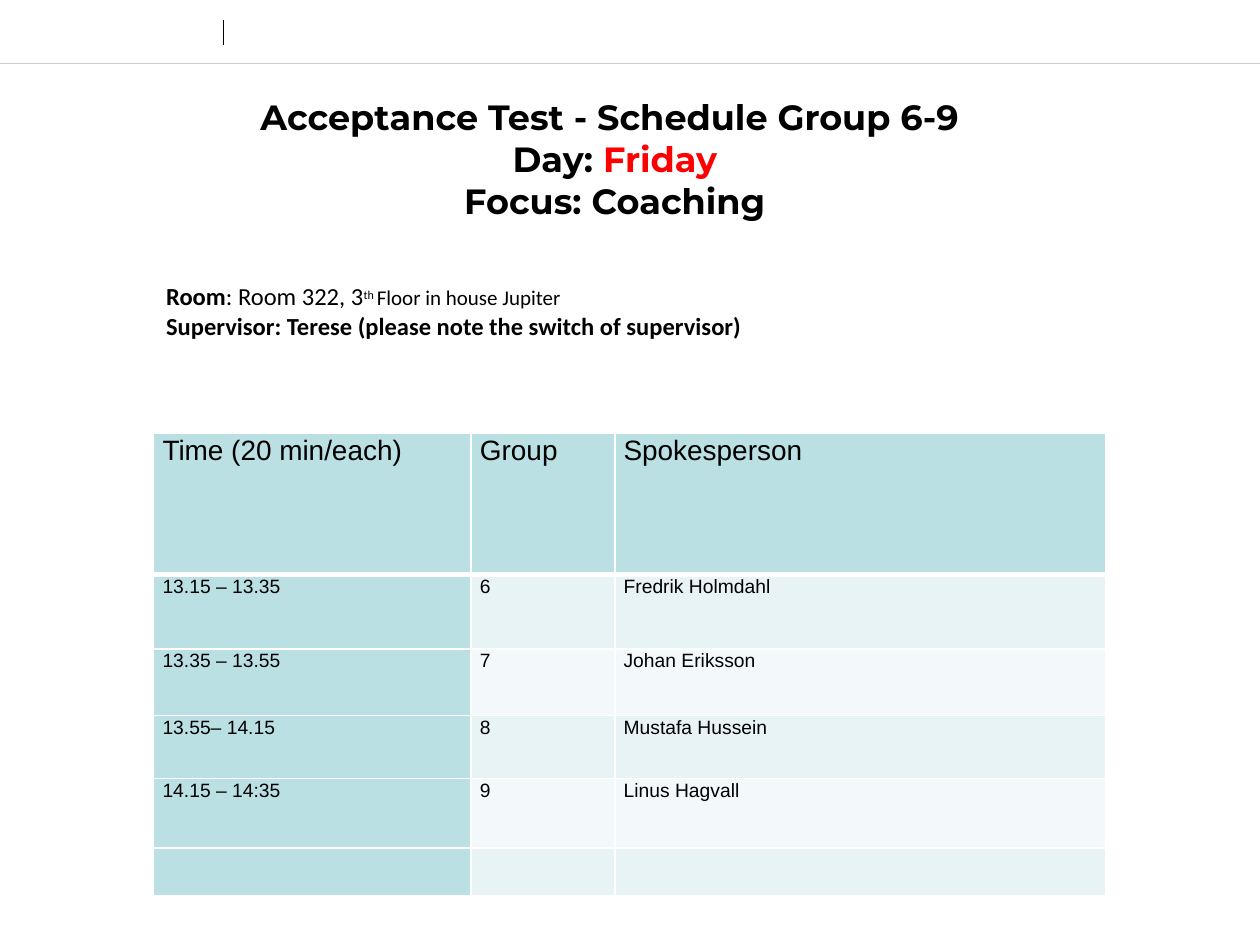
from dataclasses import dataclass

from lxml.etree import SubElement
from pptx import Presentation
from pptx.dml.color import RGBColor
from pptx.enum.shapes import MSO_CONNECTOR
from pptx.enum.text import MSO_ANCHOR, PP_ALIGN
from pptx.oxml.ns import qn
from pptx.util import Inches, Pt


@dataclass(frozen=True)
class Theme:
    ink: str = "000000"
    paper: str = "FFFFFF"
    alert: str = "FF0000"
    rule: str = "CCCCCC"
    head: str = "BBE0E3"
    bands: tuple = ("E7F3F4", "F3F9FA")
    title: int = 20
    header: int = 16
    info: int = 14
    small: int = 12
    body: int = 11


THEME = Theme()
WIDTH, HEIGHT = 10, 7.5
LEFT = 1.22
COLS = (2.52, 1.14, 3.9)
ROWS = (1.12, 0.59, 0.53, 0.5, 0.55, 0.38)
SLOTS = (
    ("Time (20 min/each)", "Group", "Spokesperson"),
    ("13.15 – 13.35", "6", "Fredrik Holmdahl"),
    ("13.35 – 13.55", "7", "Johan Eriksson"),
    ("13.55– 14.15", "8", "Mustafa Hussein"),
    ("14.15 – 14:35", "9", "Linus Hagvall"),
    ("", "", ""),
)


def style(font, face, size, bold=False):
    font.name, font.size, font.bold = face, Pt(size), bold
    font.color.rgb = RGBColor.from_string(THEME.ink)


def add_rule(slide, start, end, color, width):
    ends = [Inches(n) for n in (*start, *end)]
    line = slide.shapes.add_connector(MSO_CONNECTOR.STRAIGHT, *ends)
    line.line.color.rgb = RGBColor.from_string(color)
    line.line.width = Pt(width)
    SubElement(line._element.spPr, qn("a:effectLst"))


def add_banner(slide, box):
    """Draw the rule under the top strip and the short divider in it."""
    x, y, w, h = box
    add_rule(slide, (x, y + h), (x + w, y + h), THEME.rule, 0.25)
    mark = x + 0.177 * w
    add_rule(slide, (mark, y + 0.32 * h), (mark, y + 0.72 * h), THEME.ink, 0.5)


def add_frame(slide, box):
    frame = slide.shapes.add_textbox(*map(Inches, box)).text_frame
    frame.word_wrap = True
    frame.vertical_anchor = MSO_ANCHOR.MIDDLE
    return frame


def add_title(slide, box):
    frame = add_frame(slide, box)
    frame.margin_top = frame.margin_bottom = 0
    para = frame.paragraphs[0]
    para.alignment = PP_ALIGN.CENTER
    style(para.font, "Montserrat", THEME.title, True)
    para.add_run().text = "Acceptance Test - Schedule Group 6-9 "
    para.add_line_break()
    para.add_run().text = "Day: "
    day = para.add_run()
    day.text = "Friday"
    day.font.color.rgb = RGBColor.from_string(THEME.alert)
    para.add_line_break()
    para.add_run().text = "Focus: Coaching"


def add_info(slide, box):
    frame = add_frame(slide, box)
    room, lead = frame.paragraphs[0], frame.add_paragraph()
    for para in (room, lead):
        style(para.font, "Calibri", THEME.info, True)
    lead.text = "Supervisor: Terese (please note the switch of supervisor)"
    parts = (
        ("Room", THEME.info, True, 0),
        (": Room 322, 3", THEME.info, False, 0),
        ("th ", THEME.small, False, 30000),
        ("Floor in house Jupiter", THEME.small, False, 0),
    )
    for text, size, bold, lift in parts:
        run = room.add_run()
        run.text = text
        run.font.size, run.font.bold = Pt(size), bold
        if lift:
            run.font._element.set("baseline", str(lift))


def set_edges(cell, bottom):
    """Give a cell white borders; bottom is the lower one's width in points."""
    props = cell._tc.get_or_add_tcPr()
    for at, side in enumerate("LRTB"):
        width = Pt(bottom if side == "B" else 1)
        edge = props.makeelement(qn(f"a:ln{side}"), {"w": str(width)})
        fill = SubElement(edge, qn("a:solidFill"))
        SubElement(fill, qn("a:srgbClr"), val=THEME.paper)
        props.insert(at, edge)


def fill_cell(cell, text, row, col):
    cell.margin_left = cell.margin_right = Inches(0.07)
    cell.margin_top = cell.margin_bottom = 0
    para = cell.text_frame.paragraphs[0]
    para.text = text
    para.line_spacing = 1.07
    style(para.font, "Arial", THEME.body if row else THEME.header)
    color = THEME.bands[(row - 1) % 2] if row and col else THEME.head
    cell.fill.solid()
    cell.fill.fore_color.rgb = RGBColor.from_string(color)
    set_edges(cell, 1 if row else 3)


def add_slots(slide, box):
    """Draw the timetable, sharing the box by the column and row lengths."""
    x, y, w, h = box
    frame = slide.shapes.add_table(len(ROWS), len(COLS), *map(Inches, box))
    table = frame.table
    for col, part in zip(table.columns, COLS):
        col.width = Inches(w * part / sum(COLS))
    for row, part in zip(table.rows, ROWS):
        row.height = Inches(h * part / sum(ROWS))
    for r, texts in enumerate(SLOTS):
        for c, text in enumerate(texts):
            fill_cell(table.cell(r, c), text, r, c)


def main():
    deck = Presentation()
    deck.slide_width, deck.slide_height = Inches(WIDTH), Inches(HEIGHT)
    slide = deck.slides.add_slide(deck.slide_layouts[6])
    add_banner(slide, (0, 0, WIDTH, HEIGHT / 15))
    add_title(slide, (-0.12, 0.75, WIDTH, 1.02))
    add_slots(slide, (LEFT, 3.44, sum(COLS), sum(ROWS)))
    add_info(slide, (LEFT, 2.18, 8.11, 0.57))
    deck.save("out.pptx")


if __name__ == "__main__":
    main()
